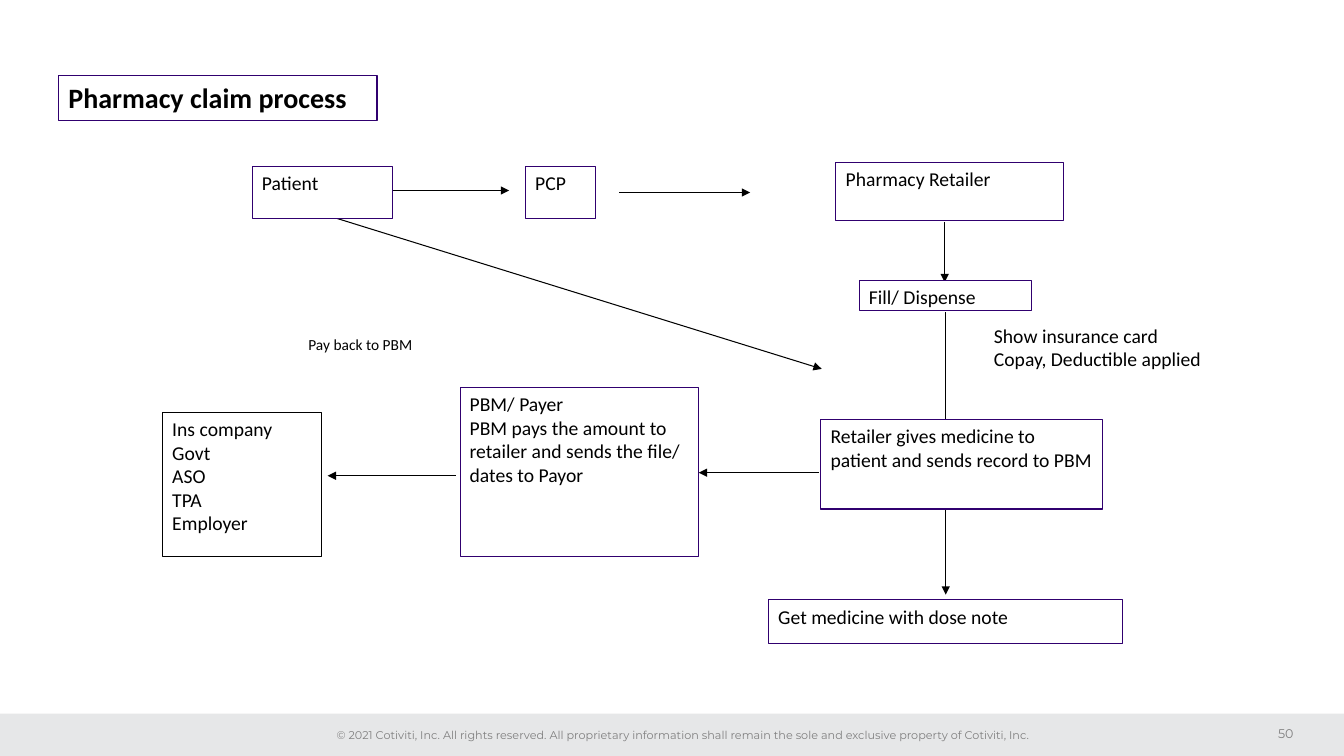
from lxml import etree
from pptx import Presentation
from pptx.dml.color import RGBColor
from pptx.enum.shapes import MSO_CONNECTOR, MSO_SHAPE
from pptx.enum.text import MSO_ANCHOR, PP_ALIGN
from pptx.oxml.ns import qn
from pptx.util import Inches, Pt

RECT = MSO_SHAPE.RECTANGLE
LINE = MSO_CONNECTOR.STRAIGHT
TOP, MIDDLE = MSO_ANCHOR.TOP, MSO_ANCHOR.MIDDLE
LEFT, CENTER, RIGHT = PP_ALIGN.LEFT, PP_ALIGN.CENTER, PP_ALIGN.RIGHT

WHITE = RGBColor(0xFF, 0xFF, 0xFF)
BLACK = RGBColor(0, 0, 0)
PURPLE = RGBColor(0x30, 0x00, 0x6F)
PALE = RGBColor(0xE6, 0xE7, 0xE8)
GRAY = RGBColor(0x80, 0x80, 0x80)

TITLE = ("Pharmacy claim process", (0.58, 0.75, 3.16, 0.45))
STEPS = [
    (["Patient"], (2.5, 1.65, 1.39, 0.52), PURPLE, 0.75),
    (["PCP"], (5.21, 1.65, 0.7, 0.52), PURPLE, 0.75),
    (["Pharmacy Retailer"], (8.29, 1.61, 2.26, 0.58), PURPLE, 0.75),
    (["Fill/ Dispense"], (8.52, 2.78, 1.71, 0.3), PURPLE, 0.75),
    (["Retailer gives medicine to patient and sends record to PBM"],
     (8.14, 4.16, 2.8, 0.89), PURPLE, 0.75),
    (["Get medicine with dose note"], (7.62, 5.95, 3.51, 0.43), PURPLE, 0.75),
    (["PBM/ Payer",
      "PBM pays the amount to retailer and sends the file/ dates to Payor"],
     (4.56, 3.84, 2.37, 1.68), PURPLE, 0.25),
    (["Ins company", "Govt", "ASO", "TPA", "Employer"],
     (1.61, 4.09, 1.58, 1.43), BLACK, 0.75),
]
NOTES = [
    (["Show insurance card", "Copay, Deductible applied"], (9.76, 3.16, 2.46, 1), 14),
    (["Pay back to PBM"], (2.96, 3.28, 1.94, 0.38), 11),
]
ARROWS = [
    (3.89, 1.89, 5.05, 1.89),
    (6.14, 1.91, 7.44, 1.91),
    (9.37, 2.2, 9.37, 2.8),
    (3.19, 2.12, 8.15, 3.66),
    (9.38, 3.1, 9.38, 5.9),
    (8.12, 4.69, 6.93, 4.69),
    (4.52, 4.72, 3.25, 4.72),
]
RIGHTS = ("© 2021 Cotiviti, Inc. All rights reserved. All proprietary information "
          "shall remain the sole and exclusive property of Cotiviti, Inc.")
PAGE = "50"

deck = Presentation()
deck.slide_width, deck.slide_height = Inches(13.33), Inches(7.5)
slide = deck.slides.add_slide(deck.slide_layouts[6])
shapes = slide.shapes


def write(shape, lines, size, face="Calibri", color=BLACK, align=LEFT,
          anchor=TOP, bold=False, wrap=True):
    frame = shape.text_frame
    frame.word_wrap = wrap
    frame.vertical_anchor = anchor
    frame.text = "\n".join(lines)
    for para in frame.paragraphs:
        para.alignment = align
        font = para.font
        font.name, font.size, font.bold = face, Pt(size), bold
        font.color.rgb = color


def add_box(area, fill=WHITE, edge=None, width=0.75):
    box = shapes.add_shape(RECT, *map(Inches, area))
    box.shadow.inherit = False
    box.fill.solid()
    box.fill.fore_color.rgb = fill
    if edge is None:
        box.line.fill.background()
    else:
        box.line.color.rgb = edge
        box.line.width = Pt(width)
    return box


def add_arrow(ends):
    arrow = shapes.add_connector(LINE, *map(Inches, ends))
    arrow.line.color.rgb = BLACK
    arrow.line.width = Pt(0.75)
    props = arrow.line._get_or_add_ln()
    etree.SubElement(props, qn("a:tailEnd"), type="triangle")
    etree.SubElement(arrow._element.spPr, qn("a:effectLst"))


add_box((0, 7.08, 13.33, 0.42), PALE)
rights = shapes.add_textbox(*map(Inches, (3.21, 7.18, 7.14, 0.24)))
write(rights, [RIGHTS], 8, "Montserrat", GRAY, CENTER, wrap=False)
page = shapes.add_textbox(*map(Inches, (12.3, 7.13, 0.53, 0.3)))
write(page, [PAGE], 9, "Montserrat", GRAY, RIGHT, MIDDLE)
frame = page.text_frame
frame.margin_left = frame.margin_right = frame.margin_top = frame.margin_bottom = 0

for ends in ARROWS:
    add_arrow(ends)
for lines, area, size in NOTES:
    write(add_box(area), lines, size)
for lines, area, edge, width in STEPS:
    write(add_box(area, WHITE, edge, width), lines, 14)
title, area = TITLE
write(add_box(area, WHITE, PURPLE), [title], 20, bold=True)

deck.save("out.pptx")
